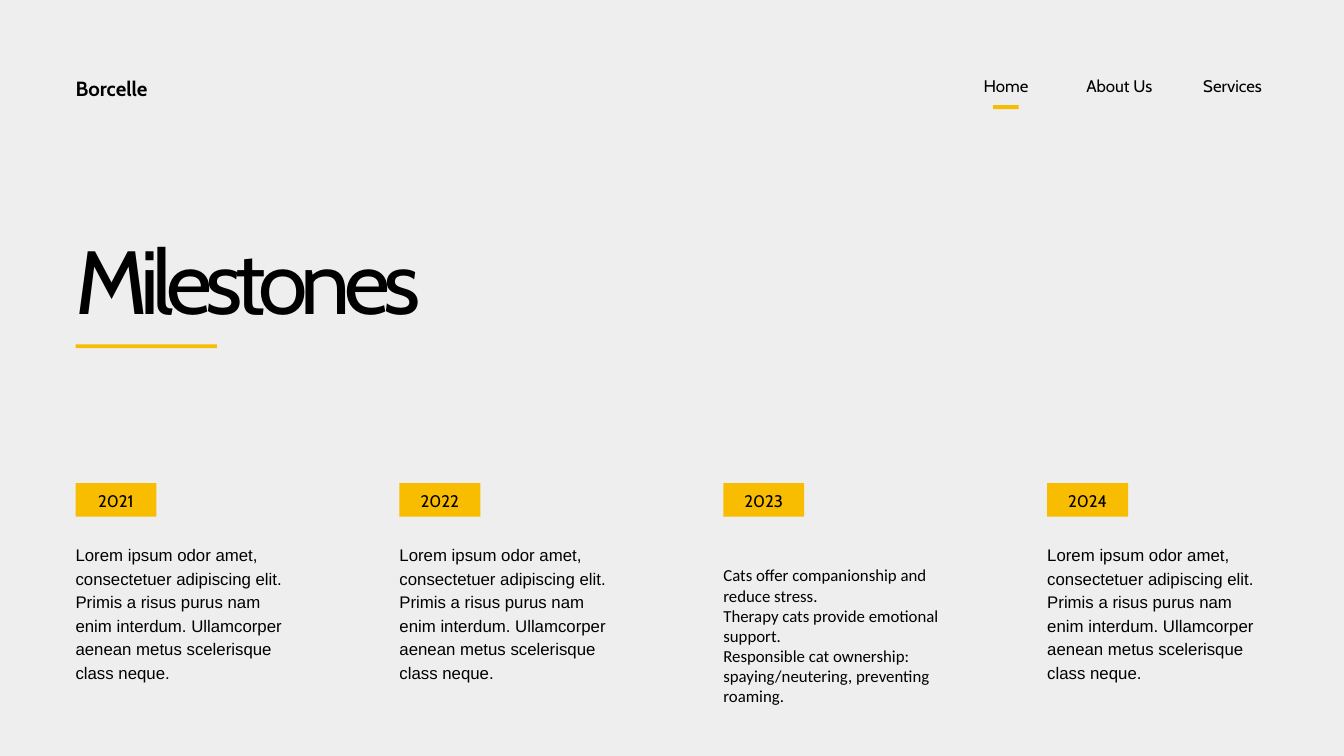
from pptx import Presentation
from pptx.dml.color import RGBColor
from pptx.enum.shapes import MSO_SHAPE
from pptx.enum.text import MSO_ANCHOR, MSO_AUTO_SIZE, PP_ALIGN
from pptx.util import Inches, Pt

COLORS = {"back": "EEEEEE", "ink": "000000", "gold": "F8BC00"}
FRAME = {"margin_left": 0, "margin_top": 0, "margin_right": 0, "margin_bottom": 0,
         "word_wrap": True, "vertical_anchor": MSO_ANCHOR.TOP,
         "auto_size": MSO_AUTO_SIZE.SHAPE_TO_FIT_TEXT}
STYLES = {
    "title": {"font": {"name": "Cabin", "size": Pt(96)}, "lead": Pt(134.4), "track": -740},
    "brand": {"font": {"name": "Cabin", "size": Pt(22), "bold": True}, "lead": Pt(30.8)},
    "label": {"font": {"name": "Cabin", "size": Pt(18)}, "lead": Pt(25.2),
              "align": PP_ALIGN.CENTER},
    "body": {"font": {"name": "Arial", "size": Pt(18)}, "lead": Pt(25.2)},
    "note": {"font": {"name": "Calibri", "size": Pt(18)}},
}

LOREM = ["Lorem ipsum odor amet, consectetuer adipiscing elit. Primis a risus purus nam "
         "enim interdum. Ullamcorper aenean metus scelerisque class neque."]
CATS = ["Cats offer companionship and reduce stress.",
        "Therapy cats provide emotional support.",
        "Responsible cat ownership: spaying/neutering, preventing roaming."]
YEARS = [("2021", LOREM, "body"), ("2022", LOREM, "body"),
         ("2023", CATS, "note"), ("2024", LOREM, "body")]
LEFT, STEP = 5.62, 24.1
NAV, NAV_STEP = 72.15, 8.43


class Page:
    """Draws on one slide; lengths are percent of its width and height."""

    def __init__(self, deck):
        self.deck = deck
        self.slide = deck.slides.add_slide(deck.slide_layouts[6])
        self.paint(self.slide.background.fill, "back")

    def paint(self, fill, color):
        fill.solid()
        fill.fore_color.rgb = RGBColor.from_string(COLORS[color])

    def place(self, x, y, w, h):
        wide, high = self.deck.slide_width, self.deck.slide_height
        return [round(part * full / 100)
                for part, full in zip((x, y, w, h), (wide, high, wide, high))]

    def bar(self, *area):
        shape = self.slide.shapes.add_shape(MSO_SHAPE.RECTANGLE, *self.place(*area))
        shape.shadow.inherit = False
        self.paint(shape.fill, "gold")
        shape.line.fill.background()

    def text(self, lines, style, *area):
        look = STYLES[style]
        frame = self.slide.shapes.add_textbox(*self.place(*area)).text_frame
        for key, value in FRAME.items():
            setattr(frame, key, value)
        for i, line in enumerate(lines):
            para = frame.paragraphs[0] if i == 0 else frame.add_paragraph()
            para.alignment = look.get("align", PP_ALIGN.LEFT)
            para.line_spacing = look.get("lead")
            run = para.add_run()
            run.text = line
            for key, value in look["font"].items():
                setattr(run.font, key, value)
            run.font.color.rgb = RGBColor.from_string(COLORS["ink"])
            if "track" in look:
                run._r.get_or_add_rPr().set("spc", str(look["track"]))


def main():
    deck = Presentation()
    deck.slide_width, deck.slide_height = Inches(20), Inches(11.25)
    page = Page(deck)

    page.text(["Borcelle"], "brand", LEFT, 9.51, 9.8, 3.73)
    for i, name in enumerate(["Home", "About Us", "Services"]):
        page.text([name], "label", NAV + i * NAV_STEP, 9.6, 5.4, 3.02)
    page.bar(73.9, 13.92, 1.9, 0.5)

    page.text(["Milestones"], "title", LEFT, 27.38, 36.1, 16)
    page.bar(LEFT, 45.56, 10.52, 0.5)

    for i, (year, lines, style) in enumerate(YEARS):
        x = LEFT + i * STEP
        top, high = (74.75, 19) if style == "note" else (71.64, 18.31)
        page.bar(x, 63.91, 6.02, 4.44)
        page.text([year], "label", x + 0.76, 64.44, 4.5, 3.02)
        page.text(lines, style, x, top, 16.45, high)

    deck.save("out.pptx")


if __name__ == "__main__":
    main()
